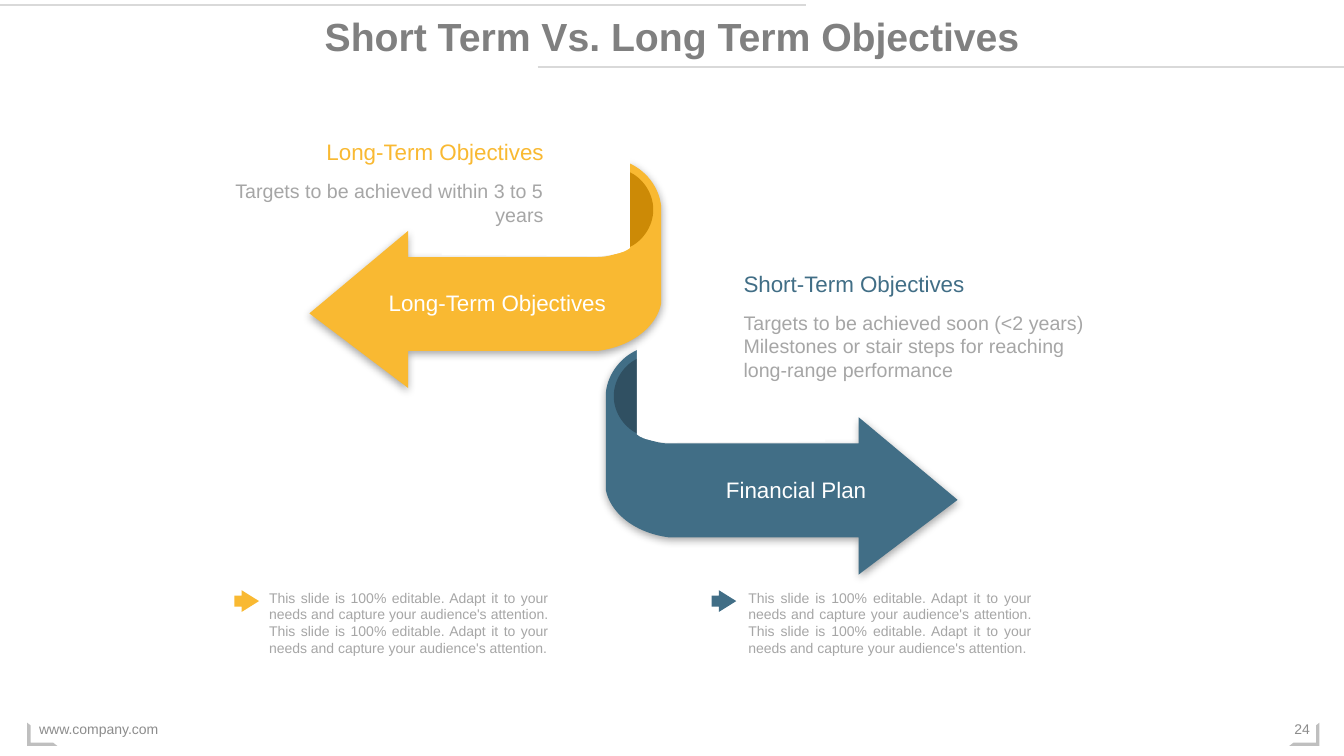
"""Build the slide that compares short-term and long-term objectives."""
from dataclasses import dataclass

from lxml.etree import SubElement
from pptx import Presentation
from pptx.dml.color import RGBColor
from pptx.enum.shapes import MSO_CONNECTOR, MSO_SHAPE
from pptx.enum.text import MSO_ANCHOR, MSO_AUTO_SIZE, PP_ALIGN
from pptx.oxml.ns import qn
from pptx.shapes.autoshape import Shape
from pptx.slide import Slide
from pptx.util import Pt

Point = tuple[float, float]
Box = tuple[float, float, float, float]
Outline = list[tuple[Point, ...]]

COLORS = {
    "yellow": "F9B932", "yellow_dark": "CC8A06",
    "blue": "416E86", "blue_dark": "305062",
    "white": "FFFFFF", "rule": "D9D9D9", "corner": "BFBFBF",
    "footer": "8C8C8C", "body": "A6A6A6", "title": "808080",
}
FILLER = ("This slide is 100% editable. Adapt it to your needs "
          "and capture your audience's attention.")
MIRROR_WIDTH = 905
MIRROR_DROP = 133.2

RIBBON: Outline = [
    ((447.8, 115.9),),
    ((460.8, 121), (470.9, 133.2), (472.3, 147.6)),
    ((472.3, 216.7),),
    ((469.4, 231.8), (453.6, 247), (427.7, 250.6)),
    ((291.6, 250.6),), ((291.6, 277.2),), ((221, 223.9),),
    ((291.6, 164.9),), ((291.6, 183.6),), ((427, 183.6),),
    ((434.2, 183.6), (441.4, 181.4), (447.8, 177.8)),
]
FOLD: Outline = [
    ((448.6, 122.4),),
    ((458.6, 126.7), (466.6, 137.5), (466.6, 149.8)),
    ((466.6, 162), (458.6, 172.8), (448.6, 177.1)),
]
COVER: Outline = [
    ((316.1, 112.3),), ((450, 113),), ((450, 177.1),),
    ((445, 181.4), (434.9, 182.2), (429.1, 182.9)),
    ((315.4, 182.2),),
]


@dataclass
class Label:
    """A block of text with its place and style."""
    lines: list[str]
    box: Box
    size: float
    color: str
    align: PP_ALIGN = PP_ALIGN.LEFT
    anchor: MSO_ANCHOR = MSO_ANCHOR.TOP
    wrap: bool = True
    bold: bool = False


@dataclass
class Objective:
    """One ribbon arrow with its caption and small note."""
    color: str
    mirrored: bool
    caption: Label
    note: Label
    marker_left: float


PLACEHOLDER_LABELS = {
    0: Label(["Short Term Vs. Long Term Objectives"], (0, 5, 960, 41), 28, "title",
             PP_ALIGN.CENTER, bold=True),
    1: Label(["Long-Term Objectives"], (176, 95, 219.6, 26.6), 16, "yellow",
             PP_ALIGN.RIGHT),
    2: Label(["Targets to be achieved within 3 to 5 years"],
             (158.4, 124.3, 237, 41), 14, "body", PP_ALIGN.RIGHT),
    3: Label(["Short-Term Objectives"], (523.9, 189.4, 242.6, 26.6), 16, "blue"),
    4: Label(["Targets to be achieved soon (<2 years)",
              "Milestones or stair steps for reaching long-range performance"],
             (523.9, 218.2, 277.2, 58.3), 14, "body"),
}
FOOTERS = [
    Label(["www.company.com"], (20.9, 506.2, 324, 28.8), 10, "footer",
          anchor=MSO_ANCHOR.MIDDLE),
    Label(["24"], (912.6, 506.2, 30.2, 28.8), 10, "footer", PP_ALIGN.RIGHT,
          MSO_ANCHOR.MIDDLE),
]
OBJECTIVES = [
    Objective("blue", True,
              Label(["Financial Plan"], (510.7, 336.4, 116, 26.6), 16, "white",
                    PP_ALIGN.CENTER, wrap=False),
              Label([f"{FILLER} {FILLER}"], (527.4, 417.3, 216.2, 55.4), 10, "body",
                    PP_ALIGN.JUSTIFY), 508.3),
    Objective("yellow", False,
              Label(["Long-Term Objectives"], (269.5, 203, 171.4, 26.6), 16, "white",
                    PP_ALIGN.CENTER, wrap=False),
              Label([f"{FILLER} {FILLER}"], (185.1, 417.3, 213.4, 55.4), 10, "body",
                    PP_ALIGN.JUSTIFY), 167.4),
]


def rgb(name: str) -> RGBColor:
    """Return the named colour."""
    return RGBColor.from_string(COLORS[name])


def paint(shape: Shape, color: str) -> None:
    """Give a shape a plain fill without line or shadow."""
    shape.shadow.inherit = False
    shape.fill.solid()
    shape.fill.fore_color.rgb = rgb(color)
    shape.line.fill.background()


def add_preset(slide: Slide, kind: MSO_SHAPE, box: Box, color: str,
               adjustments: tuple[float, ...]) -> Shape:
    """Add a painted preset shape."""
    shape = slide.shapes.add_shape(kind, *map(Pt, box))
    for index, value in enumerate(adjustments):
        shape.adjustments[index] = value
    paint(shape, color)
    return shape


def add_outline(slide: Slide, outline: Outline, color: str, mirrored: bool) -> Shape:
    """Add a freeform with lines and curves, mirrored and lowered on request."""
    segments = [[(Pt(MIRROR_WIDTH - x), Pt(y + MIRROR_DROP)) if mirrored
                 else (Pt(x), Pt(y)) for x, y in segment] for segment in outline]
    ends = [segment[-1] for segment in segments]
    builder = slide.shapes.build_freeform(*ends[0])
    builder.add_line_segments(ends[1:], close=True)
    shape = builder.convert_to_shape()
    lines = list(shape.element.spPr.iter(qn("a:lnTo")))
    for line, segment in zip(lines, segments[1:]):
        if len(segment) == 3:
            line.tag = qn("a:cubicBezTo")
            line.remove(line[0])
            for x, y in segment:
                SubElement(line, qn("a:pt"), x=str(x - shape.left), y=str(y - shape.top))
    paint(shape, color)
    return shape


def add_soft_shadow(shape: Shape) -> None:
    """Put a soft shadow below a shape."""
    effects = shape.element.spPr.find(qn("a:effectLst"))
    shadow = SubElement(effects, qn("a:outerShdw"), blurRad=str(Pt(6)),
                        dist=str(Pt(2)), dir="5400000", algn="t", rotWithShape="0")
    color = SubElement(shadow, qn("a:srgbClr"), val="000000")
    SubElement(color, qn("a:alpha"), val="35000")


def write_label(shape: Shape, label: Label) -> None:
    """Place a text shape and write its formatted text."""
    shape.left, shape.top, shape.width, shape.height = map(Pt, label.box)
    frame = shape.text_frame
    frame.text = "\n".join(label.lines)
    frame.word_wrap = label.wrap
    frame.auto_size = MSO_AUTO_SIZE.NONE
    frame.vertical_anchor = label.anchor
    for paragraph in frame.paragraphs:
        paragraph.alignment = label.align
        paragraph.space_before = Pt(0)
        properties = paragraph._p.get_or_add_pPr()
        properties.set("marL", "0")
        properties.set("indent", "0")
        SubElement(properties, qn("a:buNone"))
        paragraph.font.name = "Arial"
        paragraph.font.size = Pt(label.size)
        paragraph.font.bold = label.bold
        paragraph.font.color.rgb = rgb(label.color)


def add_label(slide: Slide, label: Label) -> None:
    """Add a text box for a label."""
    write_label(slide.shapes.add_textbox(*map(Pt, label.box)), label)


def add_frame(slide: Slide) -> None:
    """Add the header rules, the footer corners and the footer texts."""
    for left, right, y in ((0, 576, 3.6), (384, 960, 48)):
        rule = slide.shapes.add_connector(MSO_CONNECTOR.STRAIGHT,
                                          Pt(left), Pt(y), Pt(right), Pt(y))
        rule.line.color.rgb = rgb("rule")
        rule.line.width = Pt(1.5)
        SubElement(rule.element.spPr, qn("a:effectLst"))
    for left, flipped in ((920.9, False), (19.4, True)):
        corner = add_preset(slide, MSO_SHAPE.HALF_FRAME, (left, 516.2, 21.6, 16.6),
                            "corner", (0.139, 0.148))
        corner.rotation = 180
        if flipped:
            corner.element.spPr.find(qn("a:xfrm")).set("flipH", "1")
    for footer in FOOTERS:
        add_label(slide, footer)


def add_objective(slide: Slide, objective: Objective) -> None:
    """Add a ribbon arrow, its caption and its note."""
    color, mirrored = objective.color, objective.mirrored
    add_soft_shadow(add_outline(slide, RIBBON, color, mirrored))
    add_outline(slide, FOLD, f"{color}_dark", mirrored)
    add_outline(slide, COVER, "white", mirrored)
    add_label(slide, objective.caption)
    add_label(slide, objective.note)
    add_preset(slide, MSO_SHAPE.RIGHT_ARROW, (objective.marker_left, 421.6, 17.6, 15.5),
               color, (0.5, 0.799))


def main() -> None:
    """Build and save the presentation."""
    presentation = Presentation()
    presentation.slide_width, presentation.slide_height = Pt(960), Pt(540)
    slide = presentation.slides.add_slide(presentation.slide_layouts.get_by_name("Comparison"))
    add_frame(slide)
    for objective in OBJECTIVES:
        add_objective(slide, objective)
    for placeholder in list(slide.placeholders):
        write_label(placeholder, PLACEHOLDER_LABELS[placeholder.placeholder_format.idx])
        slide.shapes.element.append(placeholder.element)
    presentation.save("out.pptx")


if __name__ == "__main__":
    main()
